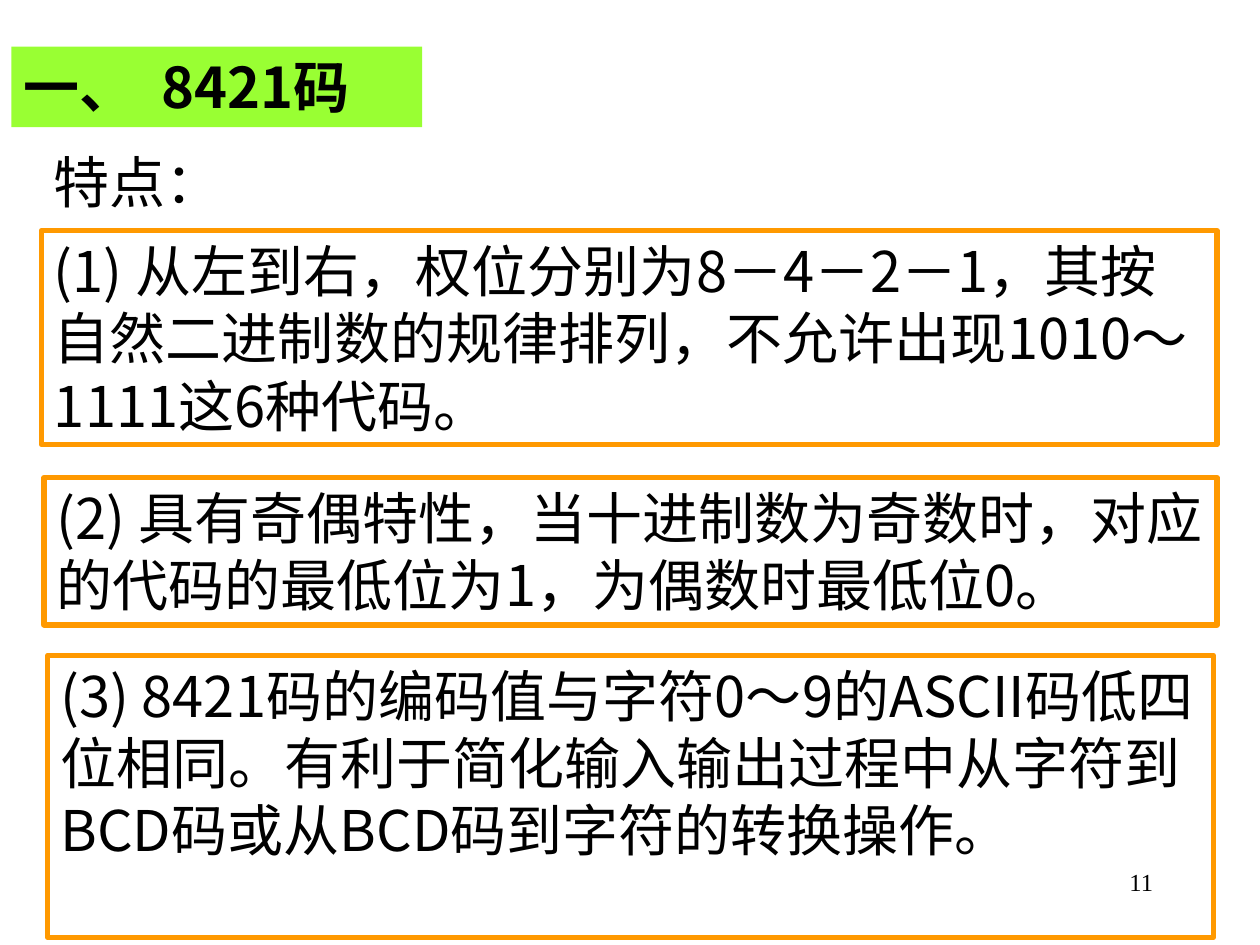
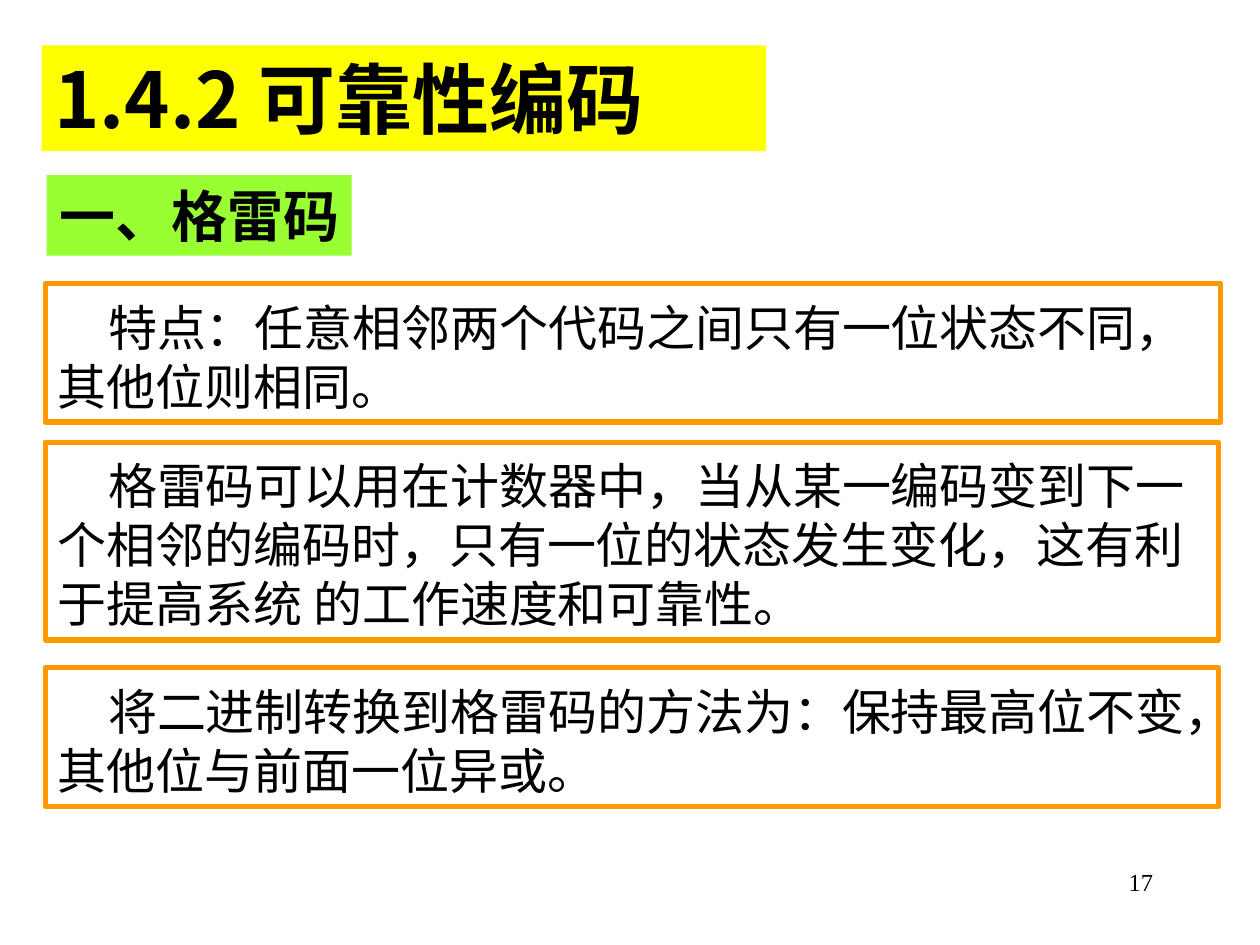
"""Build two slides on the 8421 code and the Gray code."""
from dataclasses import dataclass

from lxml import etree
from pptx import Presentation
from pptx.dml.color import RGBColor
from pptx.enum.shapes import MSO_SHAPE
from pptx.enum.text import MSO_ANCHOR, MSO_AUTO_SIZE, PP_ALIGN
from pptx.oxml.ns import qn
from pptx.util import Inches, Pt

RECT = MSO_SHAPE.RECTANGLE
TOP = MSO_ANCHOR.TOP
FIXED = MSO_AUTO_SIZE.NONE
LEFT, RIGHT = PP_ALIGN.LEFT, PP_ALIGN.RIGHT


@dataclass(frozen=True)
class Theme:
    """Colours, fonts and sizes used by both slides."""
    ink: str = "000000"
    green: str = "99FF33"
    yellow: str = "FFFF00"
    frame: str = "FF9900"
    font: str = "Noto Sans CJK SC"
    serif: str = "Times New Roman"
    head: int = 44
    text: int = 32
    small: int = 28
    page: int = 14
    edge: int = 3
    lead: float = 1.2


THEME = Theme()

SLIDES = [
    {
        "title": ("一、  8421码", (0.09, 0.37, 3.26, 0.64), THEME.green, THEME.text),
        "labels": [("特点：", (0.33, 1.12, 1.53, 0.64), None, False)],
        "size": THEME.text, "indent": 0, "drop": 0,
        "boxes": [
            ("(1) 从左到右，权位分别为8－4－2－1，其按自然二进制数的规律排列，"
             "不允许出现1010～1111这6种代码。", (0.33, 1.83, 9.33, 1.7)),
            ("(2) 具有奇偶特性，当十进制数为奇数时，对应的代码的最低位为1，"
             "为偶数时最低位0。", (0.35, 3.79, 9.31, 1.17)),
            ("(3) 8421码的编码值与字符0～9的ASCII码低四位相同。有利于简化输入输出"
             "过程中从字符到BCD码或从BCD码到字符的转换操作。", (0.38, 5.2, 9.25, 2.24)),
        ],
        "page": "11",
    },
    {
        "title": ("1.4.2 可靠性编码", (0.33, 0.36, 5.75, 0.84), THEME.yellow, THEME.head),
        "labels": [("一、格雷码", (0.37, 1.39, 2.42, 0.64), THEME.green, True)],
        "size": THEME.small, "indent": 0.4, "drop": 0.06,
        "boxes": [
            ("特点：任意相邻两个代码之间只有一位状态不同，其他位则相同。",
             (0.36, 2.25, 9.33, 1.1)),
            ("格雷码可以用在计数器中，当从某一编码变到下一个相邻的编码时，只有一位的"
             "状态发生变化，这有利于提高系统 的工作速度和可靠性。", (0.36, 3.51, 9.31, 1.57)),
            ("将二进制转换到格雷码的方法为：保持最高位不变，其他位与前面一位异或。",
             (0.36, 5.3, 9.31, 1.1)),
        ],
        "page": "17",
    },
]
PAGE = (7.17, 6.83, 2.08, 0.5)


def paint(shape, fill):
    """Fill a shape, or leave it clear."""
    if fill:
        shape.fill.solid()
        shape.fill.fore_color.rgb = RGBColor.from_string(fill)
    else:
        shape.fill.background()


def write(shape, text, size, bold=False, font=THEME.font, align=LEFT,
          wrap=True, indent=0, drop=0):
    """Set one paragraph of text and its format."""
    frame = shape.text_frame
    frame.text = text
    frame.word_wrap = wrap
    frame.auto_size = FIXED
    frame.vertical_anchor = TOP
    frame.margin_left = frame.margin_right = Inches(0.1)
    frame.margin_top = Inches(0.05 + drop)
    frame.margin_bottom = Inches(0.05)
    para = frame.paragraphs[0]
    para.alignment = align
    para.line_spacing = Pt(size * THEME.lead)
    if indent:
        para._p.get_or_add_pPr().set("indent", str(Inches(indent)))
    for run in para.runs:
        run.font.name = font
        run.font.size = Pt(size)
        run.font.bold = bold
        run.font.color.rgb = RGBColor.from_string(THEME.ink)
        east = etree.SubElement(run.font._element, qn("a:ea"))
        east.set("typeface", font)


def add_box(slide, spot, fill=None, edge=None):
    """Add a plain rectangle with an optional fill and edge."""
    box = slide.shapes.add_shape(RECT, *map(Inches, spot))
    box.shadow.inherit = False
    paint(box, fill)
    if edge:
        box.line.color.rgb = RGBColor.from_string(edge)
        box.line.width = Pt(THEME.edge)
    else:
        box.line.fill.background()
    return box


def add_title(slide, text, spot, fill, size):
    """Move the title placeholder onto its colour band."""
    title = slide.shapes.title
    title.left, title.top, title.width, title.height = map(Inches, spot)
    paint(title, fill)
    write(title, text, size, bold=True)


def build(deck, data):
    """Add one slide."""
    slide = deck.slides.add_slide(deck.slide_layouts[5])
    add_title(slide, *data["title"])
    for text, spot, fill, bold in data["labels"]:
        write(add_box(slide, spot, fill), text, THEME.text, bold, wrap=False)
    for text, spot in data["boxes"]:
        write(add_box(slide, spot, edge=THEME.frame), text, data["size"],
              indent=data["indent"], drop=data["drop"])
    page = slide.shapes.add_textbox(*map(Inches, PAGE))
    write(page, data["page"], THEME.page, font=THEME.serif, align=RIGHT)


def main():
    """Build and save the deck."""
    deck = Presentation()
    deck.slide_width, deck.slide_height = Inches(10), Inches(7.5)
    for data in SLIDES:
        build(deck, data)
    deck.save("out.pptx")


if __name__ == "__main__":
    main()
